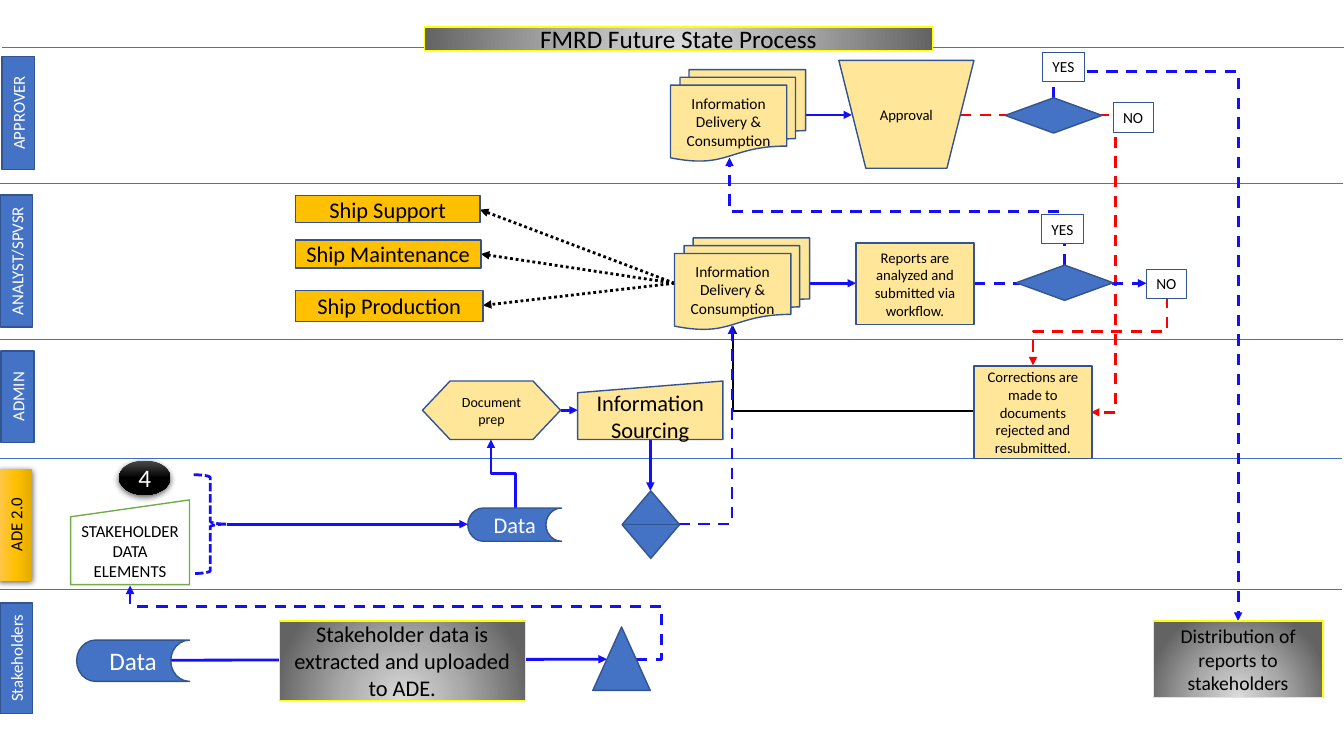
"""Build the FMRD Future State Process swimlane slide."""
from dataclasses import dataclass
from typing import Optional

from lxml.etree import SubElement
from pptx import Presentation
from pptx.dml.color import RGBColor
from pptx.enum.dml import MSO_LINE as Dash
from pptx.enum.shapes import MSO_CONNECTOR as Link, MSO_SHAPE as Kind
from pptx.enum.text import MSO_ANCHOR as Anchor, MSO_AUTO_SIZE as AutoSize, PP_ALIGN as Align
from pptx.oxml import parse_xml
from pptx.oxml.ns import nsdecls, qn
from pptx.util import Inches, Pt

BLUE, NAVY, FLOW, RED = "4472C4", "325491", "150FF9", "FF0000"
CREAM, GOLD, YELLOW, BLACK, WHITE = "FFE699", "FFC000", "FFFF00", "000000", "FFFFFF"
SILVER_STOPS = ((0, "DBDBDB"), (46, "AAAAAA"), (100, "636363"))
GOLD_STOPS = ((0, "FFC64B"), (50, GOLD), (100, "E3AB00"))
BLACK_STOPS = ((0, "4B4B4B"), (50, BLACK), (100, BLACK))
RADIAL = '<a:path path="circle"><a:fillToRect l="50000" t="130000" r="50000" b="-30000"/></a:path>'
LINEAR = '<a:lin ang="5400000" scaled="0"/>'


@dataclass(frozen=True)
class Block:
    kind: Kind
    box: tuple
    text: str = ""
    size: float = 10.5
    fill: Optional[str] = CREAM
    line: Optional[str] = NAVY
    color: str = BLACK
    width: float = 1
    stops: tuple = ()
    rotation: int = 0
    raised: bool = False
    tag: bool = False
    dash: Optional[Dash] = None


@dataclass(frozen=True)
class Arrow:
    start: tuple
    end: tuple
    color: str = FLOW
    dash: Optional[Dash] = None
    width: float = 2
    head: bool = True


@dataclass(frozen=True)
class Elbow:
    box: tuple
    bends: int
    rotation: int = 0
    flips: str = ""
    adjust: tuple = ()
    color: str = FLOW
    dash: Optional[Dash] = Dash.DASH
    width: float = 2


def lane(text: str, *box: float, **look) -> Block:
    return Block(Kind.RECTANGLE, box, text, **{"size": 12, "fill": BLUE, "color": WHITE, "rotation": 270, **look})


def silver(text: str, size: float, *box: float) -> Block:
    return Block(Kind.FLOWCHART_PROCESS, box, text, size, line=YELLOW, stops=SILVER_STOPS)


def answer(text: str, left: float, top: float) -> Block:
    box = (left, top, 0.42 if text == "YES" else 0.4, 0.29)
    return Block(Kind.RECTANGLE, box, text, 11, WHITE, width=0.75, tag=True)


def delivery(left: float, top: float) -> Block:
    return Block(Kind.FLOWCHART_MULTIDOCUMENT, (left, top, 1.34, 0.91), "Information Delivery & Consumption", 11)


def ship(name: str, top: float, width: float, height: float) -> Block:
    return Block(Kind.FLOWCHART_PROCESS, (2.93, top, width, height), f"Ship {name}", 16, GOLD)


LANE_LINES = ((0.02, 0.47), (-0.01, 1.82), (-0.01, 3.37), (-0.02, 4.55), (-0.02, 5.85))
ARROWS = (
    Arrow((2.25, 5.2), (4.64, 5.2)),
    Arrow((5.56, 4.07), (5.73, 4.07)),
    Arrow((6.45, 4.36), (6.45, 4.87)),
    Arrow((8.03, 2.81), (8.49, 2.81)),
    Arrow((9.66, 2.81), (11.37, 2.81), dash=Dash.DASH),
    Arrow((7.99, 1.14), (8.45, 1.14), width=1.75),
    Arrow((1.69, 6.55), (6.02, 6.54)),
    *(Arrow((6.69, 2.81), end, BLACK, Dash.ROUND_DOT) for end in ((4.76, 2.08), (4.77, 2.52), (4.79, 3.03))),
)
ELBOWS = (
    Elbow((7.27, 3.23, 2.73, 0.85), 2, 180, color=BLACK, dash=None, width=1.5),
    Elbow((8.36, 0.44, 1.07, 3.32), 3, 270, "V"),
    Elbow((10.57, 2.62, 0.68, 1.33), 3, 90, adjust=(0.5,), color=RED),
    Elbow((9.52, 1.14, 1.3, 2.95), 3, adjust=(1.19,), color=RED),
    Elbow((8.77, 2.65, 5.19, 1.83), 3, 270, "H", (-0.05,)),
    Elbow((6.73, 3.23, 0.53, 1.97), 2, flips="V"),
    Elbow((4.65, 4.58, 0.68, 0.24), 3, 270, "V", (0.5,), dash=None),
    Elbow((1.29, 5.81, 5.02, 0.73), 4, flips="HV", adjust=(-0.05, 0.72)),
)
BLOCKS = (
    lane("APPROVER", -0.38, 0.96, 1.12, 0.32),
    lane("ANALYST/SPVSR", -0.49, 2.43, 1.31, 0.32),
    lane("ADMIN", -0.28, 3.77, 0.91, 0.33),
    lane("ADE 2.0", -0.4, 5.04, 1.11, 0.33, color=BLACK, line=None, stops=GOLD_STOPS, raised=True),
    lane("Stakeholders", -0.39, 6.37, 1.1, 0.32),
    silver("FMRD Future State Process", 18, 4.21, 0.27, 5.04, 0.23),
    delivery(6.65, 0.69),
    Block(Kind.FLOWCHART_MANUAL_OPERATION, (8.32, 0.6, 1.34, 1.07), "Approval"),
    answer("NO", 11.04, 1.02),
    Block(Kind.FLOWCHART_DECISION, (9.97, 0.97, 0.96, 0.35), fill=BLUE),
    answer("YES", 10.34, 0.52),
    ship("Support", 1.94, 1.83, 0.27),
    ship("Maintenance", 2.38, 1.84, 0.28),
    ship("Production", 2.88, 1.86, 0.31),
    delivery(6.69, 2.36),
    Block(Kind.FLOWCHART_PROCESS, (8.49, 2.41, 1.17, 0.81), "Reports are analyzed and submitted via workflow."),
    Block(Kind.FLOWCHART_DECISION, (10.08, 2.63, 0.96, 0.35), fill=BLUE),
    answer("YES", 10.33, 2.13),
    answer("NO", 11.37, 2.67),
    Block(Kind.FLOWCHART_PREPARATION, (4.19, 3.78, 1.37, 0.58), "Document prep", 10),
    Block(Kind.FLOWCHART_MANUAL_INPUT, (5.73, 3.78, 1.44, 0.58), "Information Sourcing", 16),
    Block(Kind.FLOWCHART_PROCESS, (9.66, 3.63, 1.17, 0.92),
          "Corrections are made to documents rejected and resubmitted."),
    Block(Kind.FLOWCHART_MANUAL_INPUT, (0.7, 4.96, 1.18, 0.84), "STAKEHOLDER DATA ELEMENTS", 12, WHITE, "70AD47"),
    Block(Kind.FLOWCHART_STORED_DATA, (4.64, 5.04, 0.93, 0.33), "Data", 16, BLUE, color=WHITE),
    Block(Kind.FLOWCHART_SORT, (6.17, 4.87, 0.57, 0.67), fill=BLUE),
    Block(Kind.FLOWCHART_STORED_DATA, (0.76, 6.35, 1.12, 0.41), "Data", 18, BLUE, color=WHITE),
    silver("Stakeholder data is extracted and uploaded to ADE.", 16, 2.77, 6.16, 2.44, 0.79),
    Block(Kind.FLOWCHART_EXTRACT, (5.88, 6.22, 0.57, 0.63), fill=BLUE),
    silver("Distribution of reports to stakeholders", 14, 11.44, 6.16, 1.68, 0.76),
    Block(Kind.FLOWCHART_CONNECTOR, (1.18, 4.57, 0.51, 0.34), "4", 18, line=None, color=WHITE,
          stops=BLACK_STOPS, raised=True),
    Block(Kind.RIGHT_BRACE, (1.92, 4.71, 0.33, 0.98), fill=None, line=FLOW, width=2, dash=Dash.SQUARE_DOT),
)


def rgb(value: str) -> RGBColor:
    return RGBColor.from_string(value)


def write_text(shape, text: str, *, size: float, color: str, tag: bool = False) -> None:
    frame = shape.text_frame
    frame.word_wrap = not tag
    frame.vertical_anchor = Anchor.TOP if tag else Anchor.MIDDLE
    if tag:
        frame.auto_size = AutoSize.SHAPE_TO_FIT_TEXT
    paragraph = frame.paragraphs[0]
    paragraph.alignment = Align.LEFT if tag else Align.CENTER
    run = paragraph.add_run()
    run.text = text
    run.font.name, run.font.size = "Calibri", Pt(size)
    run.font.color.rgb = rgb(color)


def fill_gradient(shape, stops: tuple) -> None:
    marks = "".join(f'<a:gs pos="{place * 1000}"><a:srgbClr val="{color}"/></a:gs>' for place, color in stops)
    course = RADIAL if stops == SILVER_STOPS else LINEAR
    gradient = parse_xml(f'<a:gradFill {nsdecls("a")}><a:gsLst>{marks}</a:gsLst>{course}</a:gradFill>')
    shape.element.spPr.find(qn("a:prstGeom")).addnext(gradient)


def raise_shape(shape) -> None:
    shape.element.spPr.find(qn("a:effectLst")).append(parse_xml(
        f'<a:outerShdw {nsdecls("a")} blurRad="57150" dist="19050" dir="5400000" algn="ctr" rotWithShape="0">'
        '<a:srgbClr val="000000"><a:alpha val="63000"/></a:srgbClr></a:outerShdw>'))


def set_line(line, color: str, width: float, dash: Optional[Dash]) -> None:
    line.color.rgb, line.width = rgb(color), Pt(width)
    if dash is not None:
        line.dash_style = dash


def draw_block(slide, block: Block) -> None:
    shape = slide.shapes.add_shape(block.kind, *map(Inches, block.box))
    shape.rotation = block.rotation
    if block.stops:
        fill_gradient(shape, block.stops)
    elif block.fill:
        shape.fill.solid()
        shape.fill.fore_color.rgb = rgb(block.fill)
    else:
        shape.fill.background()
    if block.line:
        set_line(shape.line, block.line, block.width, block.dash)
    else:
        shape.line.fill.background()
    shape.shadow.inherit = False
    if block.raised:
        raise_shape(shape)
    if block.text:
        write_text(shape, block.text, size=block.size, color=block.color, tag=block.tag)


def draw_arrow(slide, arrow: Arrow, link: Link = Link.STRAIGHT):
    connector = slide.shapes.add_connector(link, *map(Inches, arrow.start + arrow.end))
    set_line(connector.line, arrow.color, arrow.width, arrow.dash)
    properties = connector.element.spPr
    if arrow.head:
        SubElement(properties.find(qn("a:ln")), qn("a:tailEnd"), type="triangle")
    SubElement(properties, qn("a:effectLst"))
    return connector


def draw_elbow(slide, elbow: Elbow) -> None:
    left, top, width, height = elbow.box
    arrow = Arrow((left, top), (left + width, top + height), elbow.color, elbow.dash, elbow.width)
    properties = draw_arrow(slide, arrow, Link.ELBOW).element.spPr
    frame, geometry = properties.find(qn("a:xfrm")), properties.find(qn("a:prstGeom"))
    frame.set("rot", str(elbow.rotation * 60000))
    for axis in elbow.flips:
        frame.set(f"flip{axis}", "1")
    geometry.set("prst", f"bentConnector{elbow.bends}")
    for number, share in enumerate(elbow.adjust, 1):
        SubElement(geometry.find(qn("a:avLst")), qn("a:gd"), name=f"adj{number}", fmla=f"val {round(share * 100000)}")


def main() -> None:
    presentation = Presentation()
    presentation.slide_width, presentation.slide_height = Inches(13.33), Inches(7.5)
    slide = presentation.slides.add_slide(presentation.slide_layouts[6])
    for left, top in LANE_LINES:
        draw_arrow(slide, Arrow((left, top), (left + 13.33, top), BLUE, width=0.5, head=False))
    for elbow in ELBOWS:
        draw_elbow(slide, elbow)
    for arrow in ARROWS:
        draw_arrow(slide, arrow)
    for block in BLOCKS:
        draw_block(slide, block)
    presentation.save("out.pptx")


if __name__ == "__main__":
    main()
